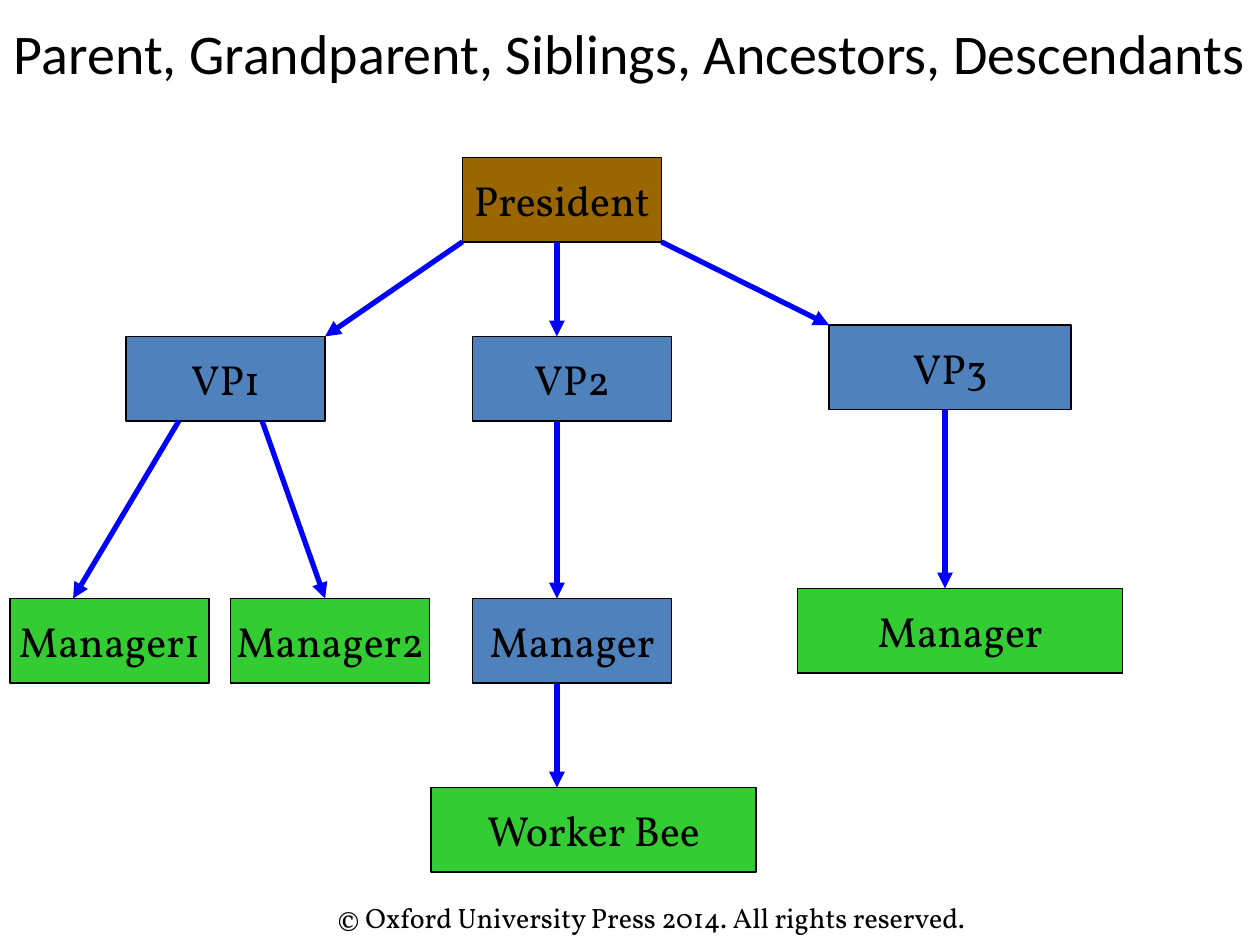
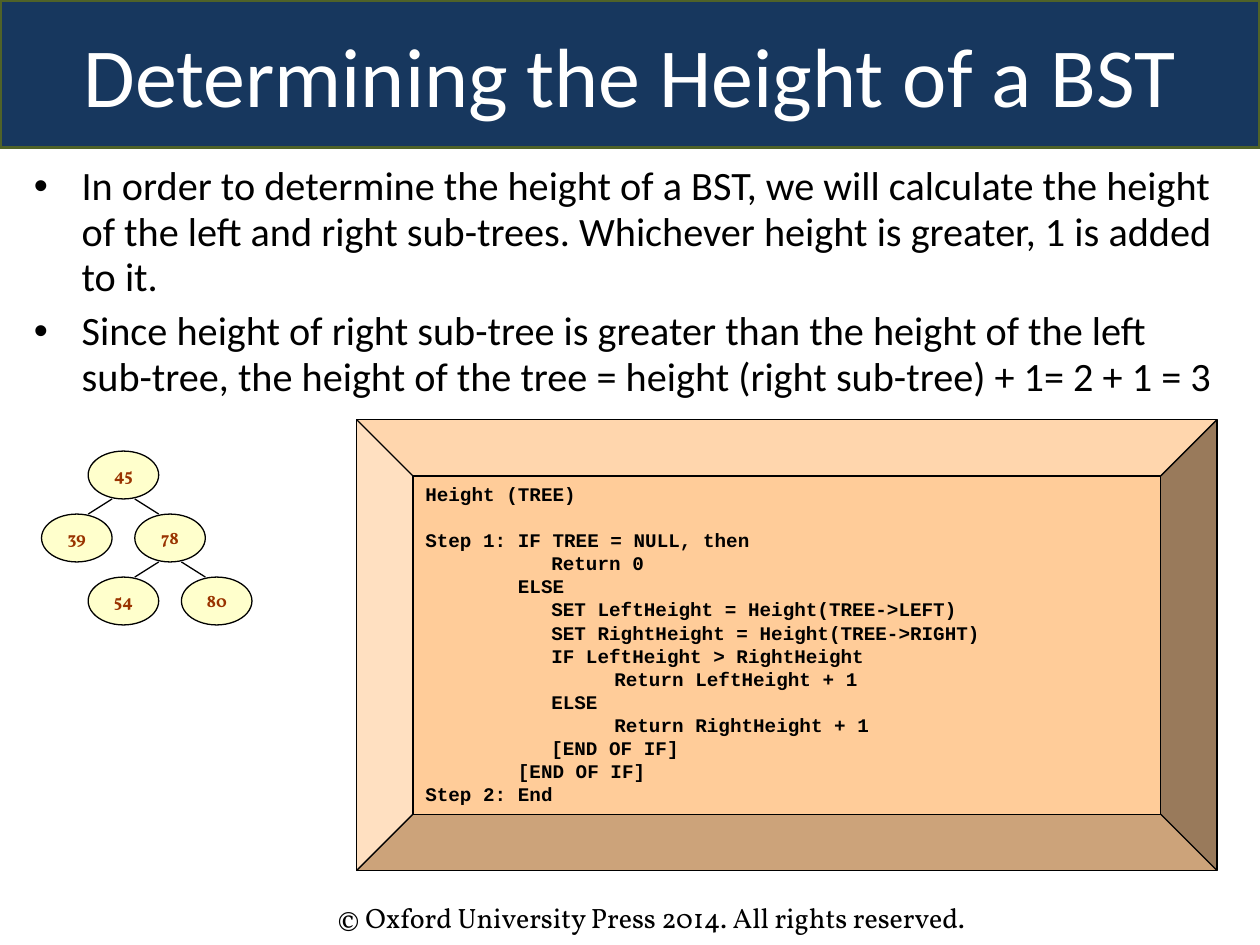
import pptx
import pptx.util
import pptx.dml.color
import pptx.enum.shapes
import pptx.enum.text
import pptx.oxml.ns
from lxml import etree

Inches = pptx.util.Inches
Pt = pptx.util.Pt
PRESET = pptx.enum.shapes.MSO_SHAPE
ALIGN = pptx.enum.text.PP_ALIGN
ANCHOR = pptx.enum.text.MSO_ANCHOR

COLORS = {
    "text": "000000", "band": "17375E", "band_edge": "4F6228", "band_text": "FFFFFF",
    "top": "996600", "inner": "4F81BD", "leaf": "33CC33", "arrow": "0000FF",
    "node": "FFFFCC", "node_text": "993300", "code": "FFCC99",
}
HEADING, BODY, CODE = "Calibri", "Vollkorn", "Courier New"

COPYRIGHT = "© Oxford University Press 2014. All rights reserved."

FAMILY_TITLE = "Parent, Grandparent, Siblings, Ancestors, Descendants"
STAFF_HEIGHT = 0.67
STAFF = {
    "president": ("President", 3.67, 1.25, 1.58, "top"),
    "vp1": ("VP1", 1, 2.67, 1.58, "inner"),
    "vp2": ("VP2", 3.75, 2.67, 1.58, "inner"),
    "vp3": ("VP3", 6.58, 2.58, 1.92, "inner"),
    "manager1": ("Manager1", 0.08, 4.75, 1.58, "leaf"),
    "manager2": ("Manager2", 1.83, 4.75, 1.58, "leaf"),
    "vp2_manager": ("Manager", 3.75, 4.75, 1.58, "inner"),
    "vp3_manager": ("Manager", 6.33, 4.67, 2.58, "leaf"),
    "worker": ("Worker Bee", 3.42, 6.25, 2.58, "leaf"),
}
REPORTS = [
    ("president", 3.67, "vp1", 2.58),
    ("president", 4.42, "vp2", 4.42),
    ("president", 5.25, "vp3", 6.58),
    ("vp1", 1.42, "manager1", 0.58),
    ("vp1", 2.08, "manager2", 2.58),
    ("vp2", 4.42, "vp2_manager", 4.42),
    ("vp3", 7.5, "vp3_manager", 7.5),
    ("vp2_manager", 4.42, "worker", 4.42),
]

HEIGHT_TITLE = "Determining the Height of a BST"
HEIGHT_POINTS = [
    "In order to determine the height of a BST, we will calculate the height of the left "
    "and right sub-trees. Whichever height is greater, 1 is added to it.",
    "Since height of right sub-tree is greater than the height of the left sub-tree, "
    "the height of the tree = height (right sub-tree) + 1= 2 + 1 = 3",
]
TREE_NODES = {"45": (1, 0), "39": (0, 1), "78": (2, 1), "54": (1, 2), "80": (3, 2)}
TREE_LINKS = [("45", "39"), ("45", "78"), ("78", "54"), ("78", "80")]
NODE_WIDTH, NODE_HEIGHT = 0.56, 0.38
ALGORITHM_NAME = "Height (TREE)"
ALGORITHM_STEPS = [
    "Step 1: IF TREE = NULL, then",
    "\t\tReturn 0",
    "        ELSE",
    "\t\tSET LeftHeight = Height(TREE->LEFT)",
    "\t\tSET RightHeight = Height(TREE->RIGHT)",
    "\t\tIF LeftHeight > RightHeight",
    "\t\t\tReturn LeftHeight + 1",
    "\t\tELSE",
    "\t\t\tReturn RightHeight + 1",
    "\t\t[END OF IF]",
    "        [END OF IF]",
    "Step 2: End",
]


def rgb(name):
    return pptx.dml.color.RGBColor.from_string(COLORS[name])


def add_bullet(paragraph):
    properties = paragraph._p.get_or_add_pPr()
    properties.set("marL", str(Inches(0.38)))
    properties.set("indent", str(Inches(-0.38)))
    etree.SubElement(properties, pptx.oxml.ns.qn("a:buFont")).set("typeface", "Arial")
    etree.SubElement(properties, pptx.oxml.ns.qn("a:buChar")).set("char", "•")


def write(shape, lines, size, font=BODY, color="text", bold=False, align=ALIGN.CENTER,
          anchor=ANCHOR.MIDDLE, wrap=True, bullets=False, spacing=None, gaps=None):
    frame = shape.text_frame
    frame.auto_size = pptx.enum.text.MSO_AUTO_SIZE.NONE
    frame.word_wrap = wrap
    frame.vertical_anchor = anchor
    for index, line in enumerate(lines):
        paragraph = frame.add_paragraph() if index else frame.paragraphs[0]
        if bullets:
            add_bullet(paragraph)
        paragraph.alignment = align
        paragraph.line_spacing = spacing
        paragraph.space_before = Pt((gaps or {}).get(index, 0))
        run = paragraph.add_run()
        run.text = line
        run.font.name = font
        run.font.size = Pt(size)
        run.font.bold = bold
        run.font.color.rgb = rgb(color)


def paint(shape, fill, edge="text", width=0.75):
    shape.fill.solid()
    shape.fill.fore_color.rgb = rgb(fill)
    shape.line.color.rgb = rgb(edge)
    shape.line.width = Pt(width)


def add_figure(slide, preset, left, top, width, height, fill, edge_width=0.75):
    figure = slide.shapes.add_shape(preset, Inches(left), Inches(top), Inches(width), Inches(height))
    figure.shadow.inherit = False
    paint(figure, fill, width=edge_width)
    return figure


def add_link(slide, start, end, color="text", width=0.75, arrow=False):
    link = slide.shapes.add_connector(
        pptx.enum.shapes.MSO_CONNECTOR.STRAIGHT, *map(Inches, start + end))
    link.line.color.rgb = rgb(color)
    link.line.width = Pt(width)
    if arrow:
        tail = etree.SubElement(link.line._get_or_add_ln(), pptx.oxml.ns.qn("a:tailEnd"))
        tail.set("type", "triangle")
    etree.SubElement(link._element.spPr, pptx.oxml.ns.qn("a:effectLst"))


def add_text(slide, lines, left, top, width, height, **style):
    box = slide.shapes.add_textbox(Inches(left), Inches(top), Inches(width), Inches(height))
    write(box, lines, align=ALIGN.LEFT, anchor=ANCHOR.TOP, **style)


def add_slide(deck, heading, title_height, size, color="text"):
    slide = deck.slides.add_slide(deck.slide_layouts.get_by_name("Title Only"))
    title = slide.shapes.title
    title.left, title.top = Inches(0), Inches(0)
    title.width, title.height = deck.slide_width, Inches(title_height)
    title.text_frame.margin_left = title.text_frame.margin_right = 0
    write(title, [heading], size, font=HEADING, color=color)
    add_text(slide, [COPYRIGHT], 2.58, 7.1, 5.92, 0.37, size=16)
    return slide


def build_family(deck):
    slide = add_slide(deck, FAMILY_TITLE, 0.83, 32)
    for role, left, top, width, rank in STAFF.values():
        box = add_figure(slide, PRESET.RECTANGLE, left, top, width, STAFF_HEIGHT, rank, 1)
        write(box, [role], 24, wrap=False)
    for boss, boss_x, report, report_x in REPORTS:
        start = (boss_x, STAFF[boss][2] + STAFF_HEIGHT)
        add_link(slide, start, (report_x, STAFF[report][2]), "arrow", 3, arrow=True)


def build_tree(slide):
    corners = {key: (0.33 + 0.37 * column, 3.58 + 0.5 * level)
               for key, (column, level) in TREE_NODES.items()}
    for parent, child in TREE_LINKS:
        parent_left, parent_top = corners[parent]
        child_left, child_top = corners[child]
        shift = 0.09 if child_left > parent_left else -0.09
        add_link(slide, (parent_left + NODE_WIDTH / 2 + shift, parent_top + NODE_HEIGHT),
                 (child_left + NODE_WIDTH / 2 - shift, child_top))
    for key, (left, top) in corners.items():
        node = add_figure(slide, PRESET.OVAL, left, top, NODE_WIDTH, NODE_HEIGHT, "node")
        write(node, [key], 10, color="node_text", bold=True, anchor=ANCHOR.TOP, wrap=False)


def build_height(deck):
    slide = add_slide(deck, HEIGHT_TITLE, 1.17, 48, "band_text")
    paint(slide.shapes.title, "band", "band_edge", 2)
    add_text(slide, HEIGHT_POINTS, 0.17, 1.25, 9.67, 2, size=23, font=HEADING,
             bullets=True, spacing=0.95, gaps={1: 4.6})
    build_tree(slide)
    algorithm = add_figure(slide, PRESET.BEVEL, 2.83, 3.33, 6.83, 3.58, "code")
    write(algorithm, [ALGORITHM_NAME] + ALGORITHM_STEPS, 11, font=CODE, bold=True,
          align=ALIGN.LEFT, anchor=ANCHOR.TOP, gaps={1: 13.2})


def main():
    deck = pptx.Presentation()
    deck.slide_width, deck.slide_height = Inches(10), Inches(7.5)
    build_family(deck)
    build_height(deck)
    deck.save("out.pptx")


if __name__ == "__main__":
    main()
